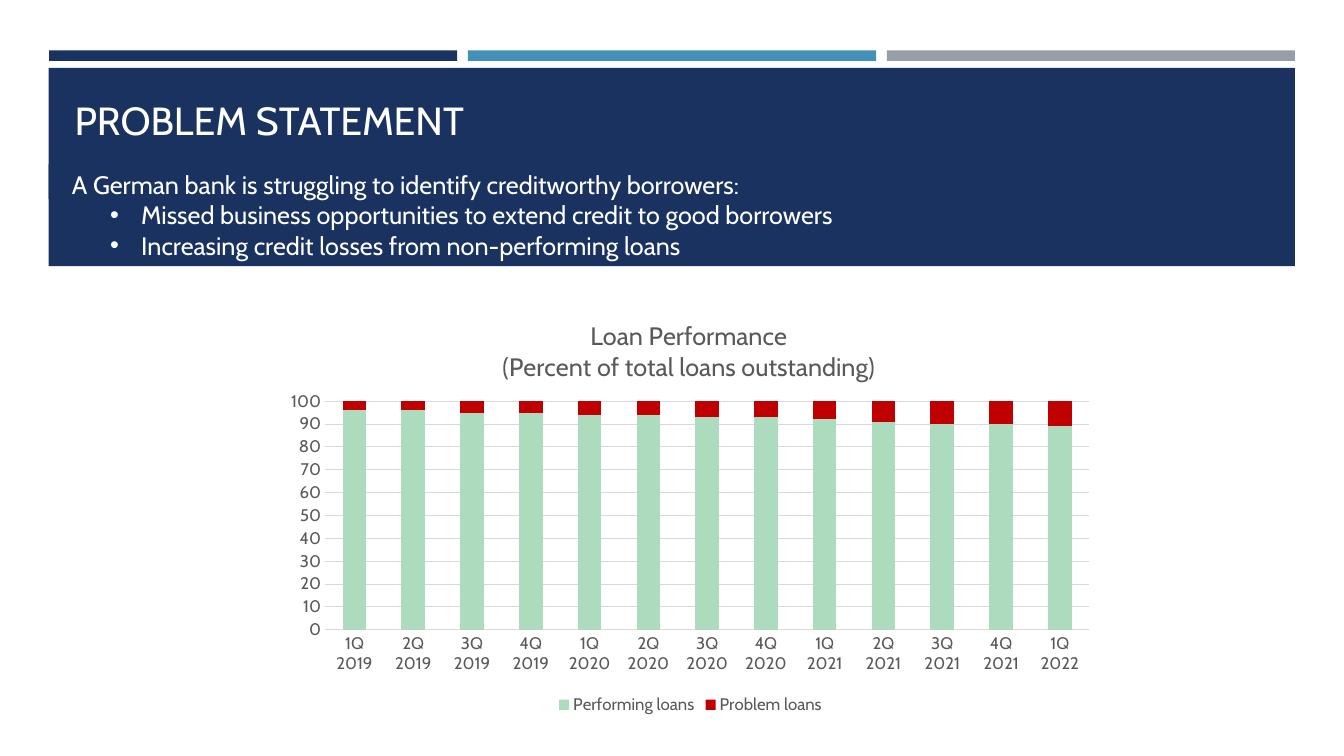
"""Build the problem statement slide with its loan performance chart."""
from dataclasses import dataclass

from lxml import etree
from pptx import Presentation
from pptx import util as u
from pptx.chart import data
from pptx.dml.color import RGBColor
from pptx.enum import chart as ch, shapes, text
from pptx.oxml.ns import qn


@dataclass(frozen=True)
class Theme:
    font: str = "Cabin"
    navy: str = "1A3260"
    blue: str = "4590B8"
    grey: str = "969FA7"
    white: str = "FFFFFF"
    label: str = "595959"
    grid: str = "D9D9D9"
    performing: str = "ADDBBD"
    problem: str = "C00000"
    title_size: float = 28
    body_size: float = 18
    label_size: float = 12


def apply(target, **values):
    for name, value in values.items():
        setattr(target, name, value)


def place(parent, index, **fractions):
    existing = parent.find(qn("c:layout"))
    if existing is not None:
        parent.remove(existing)
    layout = etree.Element(qn("c:layout"))
    manual = etree.SubElement(layout, qn("c:manualLayout"))
    if "w" in fractions:
        etree.SubElement(manual, qn("c:layoutTarget"), val="inner")
    for mode in ("xMode", "yMode"):
        etree.SubElement(manual, qn(f"c:{mode}"), val="edge")
    for name, value in fractions.items():
        etree.SubElement(manual, qn(f"c:{name}"), val=str(value))
    parent.insert(index, layout)


class Deck:
    def __init__(self, theme):
        self.theme = theme
        self.prs = Presentation()
        apply(self.prs, slide_width=u.Pt(960), slide_height=u.Pt(540))
        self.slide = self.prs.slides.add_slide(self.prs.slide_layouts[1])

    def paint(self, fill, color):
        fill.solid()
        fill.fore_color.rgb = RGBColor.from_string(color)

    def style(self, font, size, color):
        apply(font, name=self.theme.font, size=u.Pt(size), bold=False)
        font.color.rgb = RGBColor.from_string(color)

    def bar(self, box, color):
        bar = self.slide.shapes.add_shape(shapes.MSO_SHAPE.RECTANGLE, *map(u.Pt, box))
        bar.shadow.inherit = False
        self.paint(bar.fill, color)
        bar.line.fill.background()

    def move(self, holder, box, anchor):
        self.slide.shapes.element.append(holder.element)
        apply(holder, **dict(zip(("left", "top", "width", "height"), map(u.Pt, box))))
        apply(holder.text_frame, word_wrap=True, vertical_anchor=anchor,
              auto_size=text.MSO_AUTO_SIZE.NONE)

    def add_words(self, paragraph, words, size):
        run = paragraph.add_run()
        run.text = words
        self.style(run.font, size, self.theme.white)
        apply(paragraph, alignment=text.PP_ALIGN.LEFT, line_spacing=1.0,
              space_before=u.Pt(0), space_after=u.Pt(0))

    def title(self, words, box):
        heading = self.slide.shapes.title
        self.move(heading, box, text.MSO_ANCHOR.BOTTOM)
        self.add_words(heading.text_frame.paragraphs[0], words, self.theme.title_size)

    def body(self, lead, points, box):
        statement = self.slide.placeholders[1]
        self.move(statement, box, text.MSO_ANCHOR.TOP)
        self.paint(statement.fill, self.theme.navy)
        frame = statement.text_frame
        for number, words in enumerate([lead, *points]):
            paragraph = frame.add_paragraph() if number else frame.paragraphs[0]
            margin, indent = (59, -22.3) if number else (9.4, 0)
            properties = paragraph._p.get_or_add_pPr()
            properties.set("marL", str(u.Pt(margin)))
            properties.set("indent", str(u.Pt(indent)))
            if number:
                etree.SubElement(properties, qn("a:buFont"), typeface="Arial")
                etree.SubElement(properties, qn("a:buChar"), char="•")
            else:
                etree.SubElement(properties, qn("a:buNone"))
            self.add_words(paragraph, words, self.theme.body_size)

    def stacked_chart(self, heading, quarters, series, box):
        theme = self.theme
        loans = data.CategoryChartData()
        loans.categories = quarters
        for name, values, _ in series:
            loans.add_series(name, values)
        chart = self.slide.shapes.add_chart(
            ch.XL_CHART_TYPE.COLUMN_STACKED, *map(u.Pt, box), loans).chart
        self.style(chart.font, theme.label_size, theme.label)

        apply(chart, has_title=True, has_legend=True)
        chart.chart_title.text_frame.text = heading
        for paragraph in chart.chart_title.text_frame.paragraphs:
            self.style(paragraph.font, theme.body_size, theme.label)
            self.style(paragraph.runs[0].font, theme.body_size, theme.label)
        place(chart.chart_title.element, 1, x=0.27, y=0.05)
        place(chart.element.chart.plotArea, 0, x=0.06, y=0.25, w=0.92, h=0.54)

        apply(chart.legend, position=ch.XL_LEGEND_POSITION.BOTTOM, include_in_layout=False)
        self.style(chart.legend.font, theme.label_size, theme.label)

        plot = chart.plots[0]
        apply(plot, gap_width=150, overlap=100, vary_by_categories=False)
        for column, (_, _, color) in zip(plot.series, series):
            self.paint(column.format.fill, color)

        quarter_axis, percent_axis = chart.category_axis, chart.value_axis
        apply(percent_axis, minimum_scale=0, maximum_scale=100, major_unit=10,
              has_major_gridlines=True)
        for axis in (quarter_axis, percent_axis):
            apply(axis, major_tick_mark=ch.XL_TICK_MARK.NONE,
                  minor_tick_mark=ch.XL_TICK_MARK.NONE)
            self.style(axis.tick_labels.font, theme.label_size, theme.label)
        for line in (quarter_axis.format.line, percent_axis.major_gridlines.format.line):
            line.width = u.Pt(0.75)
            self.paint(line.fill, theme.grid)
        percent_axis.format.line.fill.background()


def main():
    theme = Theme()
    deck = Deck(theme)
    for number, color in enumerate((theme.navy, theme.blue, theme.grey)):
        deck.bar((35 + 299.2 * number, 36, 291.6, 7.5), color)
    deck.bar((34.7, 48.5, 890.3, 93.6), theme.navy)
    deck.title("PROBLEM STATEMENT", (46.1, 55.4, 868.3, 50.4))
    deck.body(
        "A German bank is struggling to identify creditworthy borrowers:",
        ["Missed business opportunities to extend credit to good borrowers",
         "Increasing credit losses from non-performing loans"],
        (34.7, 117.4, 890.3, 72.7))

    quarters = [f"{quarter}Q {year}" for year in range(2019, 2023)
                for quarter in range(1, 5)][:13]
    performing = [96, 96, 95, 95, 94, 94, 93, 93, 92, 91, 90, 90, 89]
    problem = [100 - share for share in performing]
    deck.stacked_chart(
        "Loan Performance\n(Percent of total loans outstanding)", quarters,
        [("Performing loans", performing, theme.performing),
         ("Problem loans", problem, theme.problem)],
        (196.6, 211, 593.3, 302.4))
    deck.prs.save("out.pptx")


if __name__ == "__main__":
    main()
